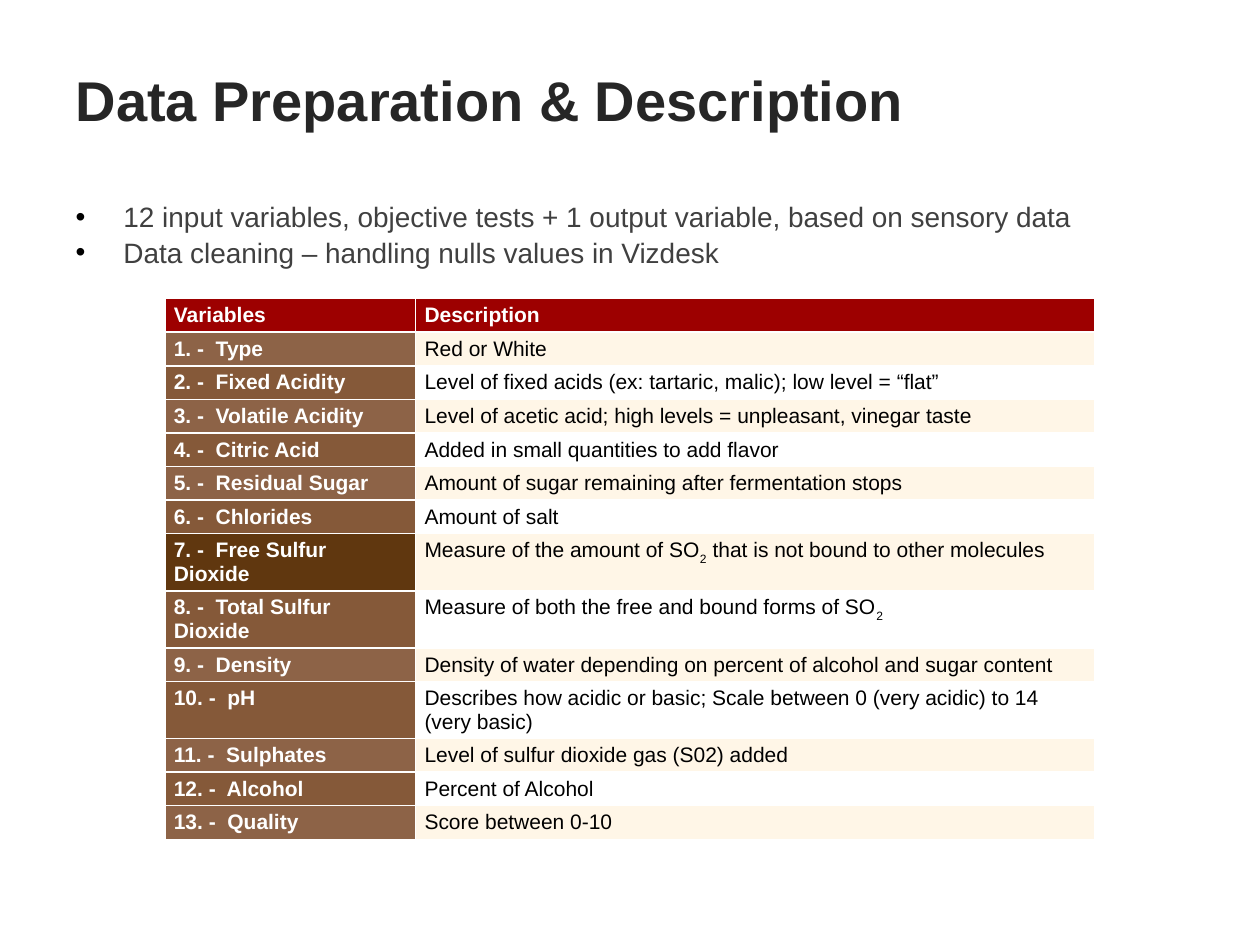
from dataclasses import dataclass
from lxml import etree
from pptx import Presentation
from pptx import util as u
from pptx.dml import color
from pptx.enum import text
from pptx.oxml import ns


@dataclass(frozen=True)
class Theme:
    font: str = "Arial"
    title: str = "262626"
    body: str = "404040"
    ink: str = "000000"
    pale: str = "FFFFFF"
    head: str = "9D0000"
    odd: str = "8D6347"
    even: str = "855939"
    mark: str = "60370F"
    band: str = "FFF6E7"
    big: int = 32
    mid: int = 16
    small: int = 12
    rule: int = 1


T = Theme()
WIDE, HIGH = 10, 7.5
LEFT = 0.5
COLS = (1.99, 5.39)
ROW = 0.26
MARKED = 7
SUB = "_2"
POINTS = (
    "12 input variables, objective tests + 1 output variable, based on sensory data",
    "Data cleaning – handling nulls values in Vizdesk",
)
ROWS = (
    ("Type", "Red or White"),
    ("Fixed Acidity", "Level of fixed acids (ex: tartaric, malic); low level = “flat”"),
    ("Volatile Acidity", "Level of acetic acid; high levels = unpleasant, vinegar taste"),
    ("Citric Acid", "Added in small quantities to add flavor"),
    ("Residual Sugar", "Amount of sugar remaining after fermentation stops"),
    ("Chlorides", "Amount of salt"),
    ("Free Sulfur Dioxide", "Measure of the amount of SO_2 that is not bound to other molecules"),
    ("Total Sulfur Dioxide", "Measure of both the free and bound forms of SO_2"),
    ("Density", "Density of water depending on percent of alcohol and sugar content"),
    ("pH", "Describes how acidic or basic; Scale between 0 (very acidic) to 14 (very basic)"),
    ("Sulphates", "Level of sulfur dioxide gas (S02) added"),
    ("Alcohol", "Percent of Alcohol"),
    ("Quality", "Score between 0-10"),
)


def rgb(tone):
    return color.RGBColor.from_string(tone)


def node(root, tag, **keys):
    return etree.SubElement(root, ns.qn(tag), **keys)


def style(run, size, tone, bold=False):
    font = run.font
    font.name = T.font
    font.size = u.Pt(size)
    font.bold = bold
    font.color.rgb = rgb(tone)


def place(shape, x, y, w, h):
    shape.left, shape.top, shape.width, shape.height = map(u.Inches, (x, y, w, h))
    frame = shape.text_frame
    frame.word_wrap = True
    frame.auto_size = text.MSO_AUTO_SIZE.NONE
    frame.vertical_anchor = text.MSO_ANCHOR.MIDDLE
    return frame


def title(shape, words):
    frame = place(shape, LEFT, 0.2, WIDE, 1.17)
    frame.text = words
    line = frame.paragraphs[0]
    line.alignment = text.PP_ALIGN.LEFT
    style(line.runs[0], T.big, T.title, True)


def points(shape, items):
    frame = place(shape, LEFT, 1.16, WIDE - 2 * LEFT, 1.4)
    frame.text = "\n".join(items)
    for line in frame.paragraphs:
        line.space_before = u.Pt(0)
        line.space_after = u.Pt(1)
        props = line._p.get_or_add_pPr()
        props.set("marL", str(u.Inches(0.38)))
        props.set("indent", str(-u.Inches(0.38)))
        node(node(props, "a:buClr"), "a:srgbClr", val=T.ink)
        node(props, "a:buFont", typeface=T.font)
        node(props, "a:buChar", char="•")
        style(line.runs[0], T.mid, T.body)


def edge(cell):
    props = cell._tc.get_or_add_tcPr()
    for spot, side in enumerate("LRTB"):
        line = etree.Element(ns.qn(f"a:ln{side}"), w=str(u.Pt(T.rule)))
        node(node(line, "a:solidFill"), "a:srgbClr", val=T.pale)
        props.insert(spot, line)


def fill(cell, words, back, tone, bold):
    cell.margin_left = cell.margin_right = u.Inches(0.07)
    cell.margin_top = cell.margin_bottom = u.Inches(0.04)
    if back:
        cell.fill.solid()
        cell.fill.fore_color.rgb = rgb(back)
    else:
        cell.fill.background()
    edge(cell)
    line = cell.text_frame.paragraphs[0]
    start, sub, rest = words.partition(SUB)
    for part in filter(None, (start, sub, rest)):
        run = line.add_run()
        run.text = part.lstrip("_")
        style(run, T.small, tone, bold)
        if part == SUB:
            run.font._element.set("baseline", "-25000")


def grid(slide):
    count = len(ROWS) + 1
    wide = sum(COLS)
    spot = map(u.Inches, ((WIDE - wide) / 2, 2.37, wide, count * ROW))
    table = slide.shapes.add_table(count, len(COLS), *spot).table
    for col, size in zip(table.columns, COLS):
        col.width = u.Inches(size)
    for row in table.rows:
        row.height = u.Inches(ROW)
    for col, words in enumerate(("Variables", "Description")):
        fill(table.cell(0, col), words, T.head, T.pale, True)
    for num, (name, words) in enumerate(ROWS, 1):
        odd = num % 2
        back = T.mark if num == MARKED else T.odd if odd else T.even
        fill(table.cell(num, 0), f"{num}. -  {name}", back, T.pale, True)
        fill(table.cell(num, 1), words, T.band if odd else None, T.ink, False)


def main():
    deck = Presentation()
    deck.slide_width, deck.slide_height = u.Inches(WIDE), u.Inches(HIGH)
    slide = deck.slides.add_slide(deck.slide_layouts[1])
    title(slide.shapes.title, "Data Preparation & Description")
    points(slide.placeholders[1], POINTS)
    grid(slide)
    deck.save("out.pptx")


if __name__ == "__main__":
    main()
